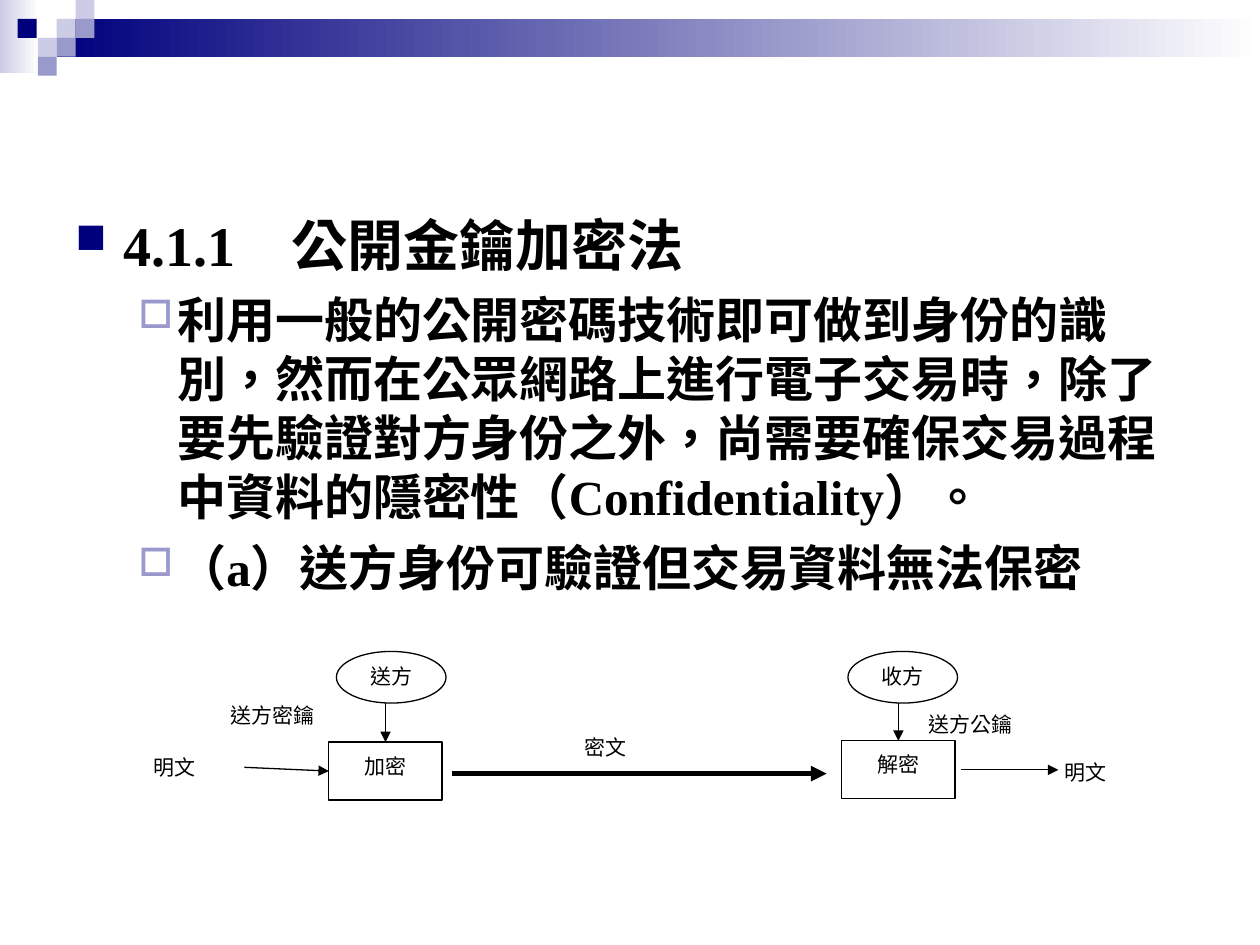
from lxml.etree import SubElement
from pptx import Presentation
from pptx.dml.color import RGBColor
from pptx.enum.lang import MSO_LANGUAGE_ID
from pptx.enum.shapes import MSO_CONNECTOR, MSO_SHAPE
from pptx.enum.text import MSO_ANCHOR, PP_ALIGN
from pptx.oxml.ns import qn
from pptx.util import Inches, Pt

THEME = {
    "font": "Times New Roman", "bullet_font": "Wingdings",
    "ink": "000000", "paper": "FFFFFF",
    "navy": "00007D", "violet": "9999CC", "lilac": "CCCCE6",
    "heading": 32, "body": 28, "label": 12,
    "thin": 0.75, "thick": 3,
}

BANDS = [((0, 0, 0.31, 0.58), "lilac"), ((0.45, 0.15, 9.55, 0.3), "navy")]
TILE = 0.15
TILES = [
    (0.45, 0.15, "lilac"), (0.6, 0, "lilac"), (0.6, 0.15, "violet"),
    (0.3, 0.3, "lilac"), (0.14, 0.15, "navy"), (0.45, 0.3, "violet"),
    (0.3, 0.45, "violet"),
]

HEADING = {"level": 0, "size": "heading", "before": 8, "margin": 0.38,
           "hang": 0.38, "bullet": "n", "color": "navy", "scale": 75}
POINT = {"level": 1, "size": "body", "before": 7, "margin": 0.81,
         "hang": 0.31, "bullet": "o", "color": "violet", "scale": 80}
BODY_AREA = (0.5, 1.62, 9, 4.79)
BODY = [
    ("4.1.1　公開金鑰加密法", HEADING),
    ("利用一般的公開密碼技術即可做到身份的識別，然而在公眾網路上進行電子交易時，"
     "除了要先驗證對方身份之外，尚需要確保交易過程中資料的隱密性（Confidentiality）。", POINT),
    ("（a）送方身份可驗證但交易資料無法保密", POINT),
]

STEP_SIZE, PARTY_SIZE = (0.9, 0.46), (0.87, 0.41)
STEPS = [("加密", 2.61, 5.89), ("解密", 6.68, 5.88)]
PARTIES = [("送方", 2.67, 5.17), ("收方", 6.73, 5.17)]
LABELS = [
    ("送方密鑰", 1.83, 5.49, 1.16), ("送方公鑰", 7.37, 5.56, 1.16),
    ("明文", 1.22, 5.9, 0.64), ("密文", 4.64, 5.74, 0.77),
    ("明文", 8.45, 5.94, 0.64),
]
LABEL_HEIGHT = 0.31
FREE_ARROWS = [((3.59, 6.14), (6.56, 6.14), "thick"),
               ((7.63, 6.11), (8.4, 6.11), "thin")]
PLAINTEXT_START = (1.94, 6.09)

STEP_FORMAT = {"alignment": PP_ALIGN.CENTER, "line_spacing": 1.44,
               "space_before": Pt(6), "space_after": Pt(12)}
PARTY_FORMAT = {"alignment": PP_ALIGN.CENTER, "line_spacing": 1.2}
LABEL_FORMAT = {"alignment": PP_ALIGN.LEFT, "line_spacing": 1.44}


def color(name):
    return RGBColor.from_string(THEME[name])


def apply(target, values):
    for name, value in values.items():
        setattr(target, name, value)


def prepare_frame(box, side=0, edge=0):
    frame = box.text_frame
    apply(frame, {"word_wrap": True, "vertical_anchor": MSO_ANCHOR.TOP,
                  "margin_left": Inches(side), "margin_right": Inches(side),
                  "margin_top": Inches(edge), "margin_bottom": Inches(edge)})
    return frame


def write(para, text, size, bold=False):
    span = para.add_run()
    span.text = text
    apply(span.font, {"name": THEME["font"], "size": Pt(THEME[size]), "bold": bold,
                      "language_id": MSO_LANGUAGE_ID.TRADITIONAL_CHINESE})
    span.font.color.rgb = color("ink")


def write_label(box, text, values):
    para = prepare_frame(box).paragraphs[0]
    apply(para, values)
    write(para, text, "label")


def add_figure(page, kind, area, fill, outlined=False):
    figure = page.shapes.add_shape(kind, *map(Inches, area))
    figure.shadow.inherit = False
    figure.fill.solid()
    figure.fill.fore_color.rgb = color(fill)
    if outlined:
        figure.line.color.rgb = color("ink")
        figure.line.width = Pt(THEME["thin"])
    else:
        figure.line.fill.background()
    return figure


def add_arrow(page, start, end, weight="thin"):
    arrow = page.shapes.add_connector(
        MSO_CONNECTOR.STRAIGHT, *map(Inches, (*start, *end)))
    arrow.line.color.rgb = color("ink")
    arrow.line.width = Pt(THEME[weight])
    SubElement(arrow.line._get_or_add_ln(), qn("a:tailEnd"), type="triangle")
    SubElement(arrow._element.spPr, qn("a:effectLst"))
    return arrow


def add_bullet(para, style):
    properties = para._p.get_or_add_pPr()
    properties.set("marL", str(Inches(style["margin"])))
    properties.set("indent", str(-Inches(style["hang"])))
    properties.set("hangingPunct", "0")
    tint = SubElement(properties, qn("a:buClr"))
    SubElement(tint, qn("a:srgbClr"), val=THEME[style["color"]])
    SubElement(properties, qn("a:buSzPct"), val=str(style["scale"] * 1000))
    SubElement(properties, qn("a:buFont"), typeface=THEME["bullet_font"], charset="2")
    SubElement(properties, qn("a:buChar"), char=style["bullet"])


def draw_header(page):
    for area, shade in BANDS:
        band = add_figure(page, MSO_SHAPE.RECTANGLE, area, shade)
        band.fill.gradient()
        band.fill.gradient_angle = 180
        for stop, name, position in zip(band.fill.gradient_stops, ("paper", shade), (0, 1)):
            stop.color.rgb = color(name)
            stop.position = position
    for left, top, shade in TILES:
        add_figure(page, MSO_SHAPE.RECTANGLE, (left, top, TILE, TILE), shade)


def draw_body(page):
    box = page.shapes.add_textbox(*map(Inches, BODY_AREA))
    frame = prepare_frame(box, 0.1, 0.05)
    for index, (text, style) in enumerate(BODY):
        para = frame.add_paragraph() if index else frame.paragraphs[0]
        apply(para, {"level": style["level"], "space_before": Pt(style["before"])})
        add_bullet(para, style)
        write(para, text, style["size"], bold=True)


def draw_flow(page):
    steps = []
    for text, left, top in STEPS:
        step = add_figure(page, MSO_SHAPE.RECTANGLE, (left, top, *STEP_SIZE), "paper", True)
        write_label(step, text, STEP_FORMAT)
        steps.append(step)
    for (text, left, top), step, (_, step_left, step_top) in zip(PARTIES, steps, STEPS):
        party = add_figure(page, MSO_SHAPE.OVAL, (left, top, *PARTY_SIZE), "paper", True)
        write_label(party, text, PARTY_FORMAT)
        middle = step_left + STEP_SIZE[0] / 2
        arrow = add_arrow(page, (middle, top + PARTY_SIZE[1]), (middle, step_top))
        arrow.end_connect(step, 0)
    for text, left, top, width in LABELS:
        box = page.shapes.add_textbox(*map(Inches, (left, top, width, LABEL_HEIGHT)))
        write_label(box, text, LABEL_FORMAT)
    _, left, top = STEPS[0]
    arrow = add_arrow(page, PLAINTEXT_START, (left, top + STEP_SIZE[1] / 2))
    arrow.end_connect(steps[0], 1)
    for start, end, weight in FREE_ARROWS:
        add_arrow(page, start, end, weight)


def main():
    """Build the public-key encryption slide with its message flow."""
    deck = Presentation()
    apply(deck, {"slide_width": Inches(10), "slide_height": Inches(7.5)})
    page = deck.slides.add_slide(deck.slide_layouts[6])
    draw_header(page)
    draw_body(page)
    draw_flow(page)
    deck.save("out.pptx")


if __name__ == "__main__":
    main()
